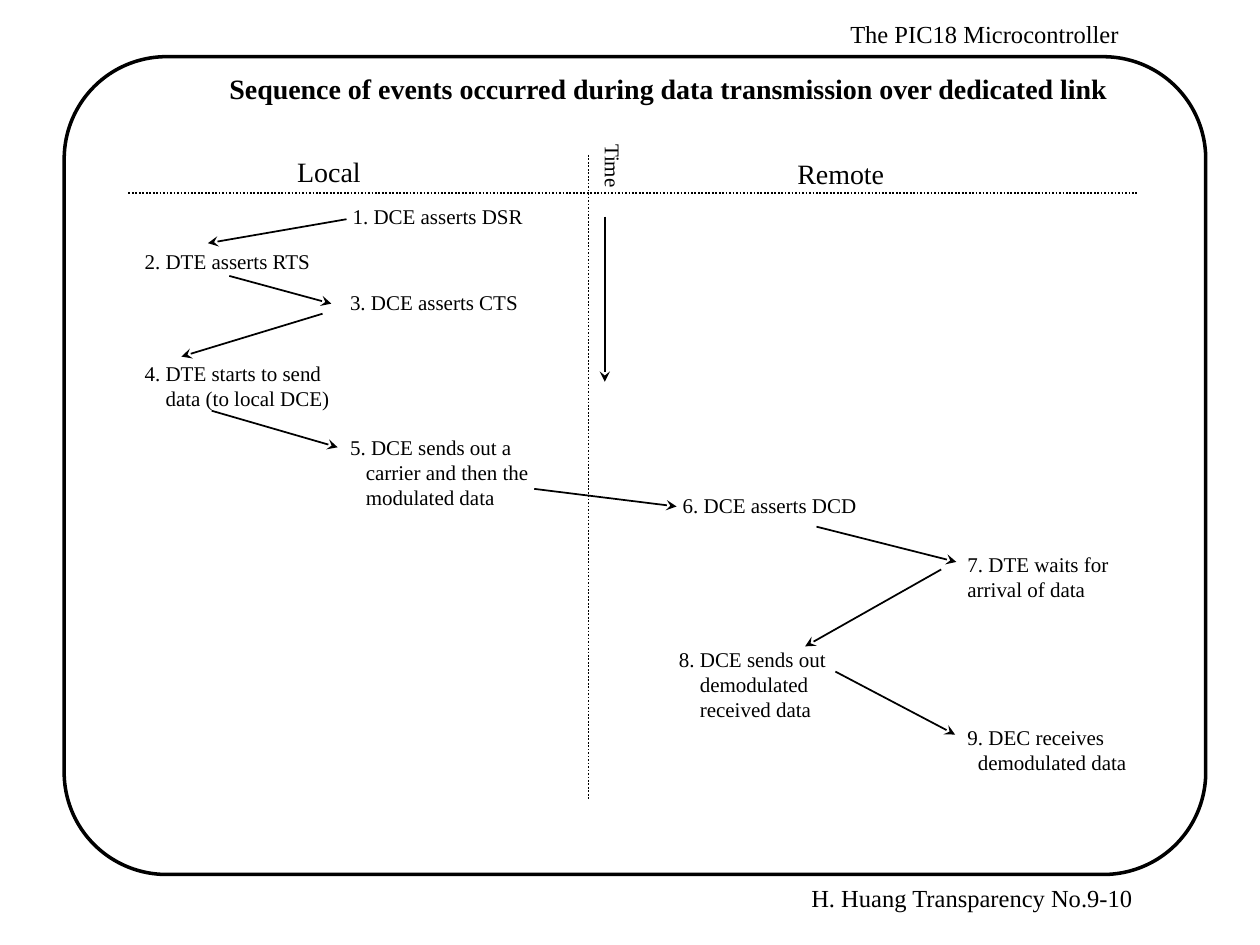
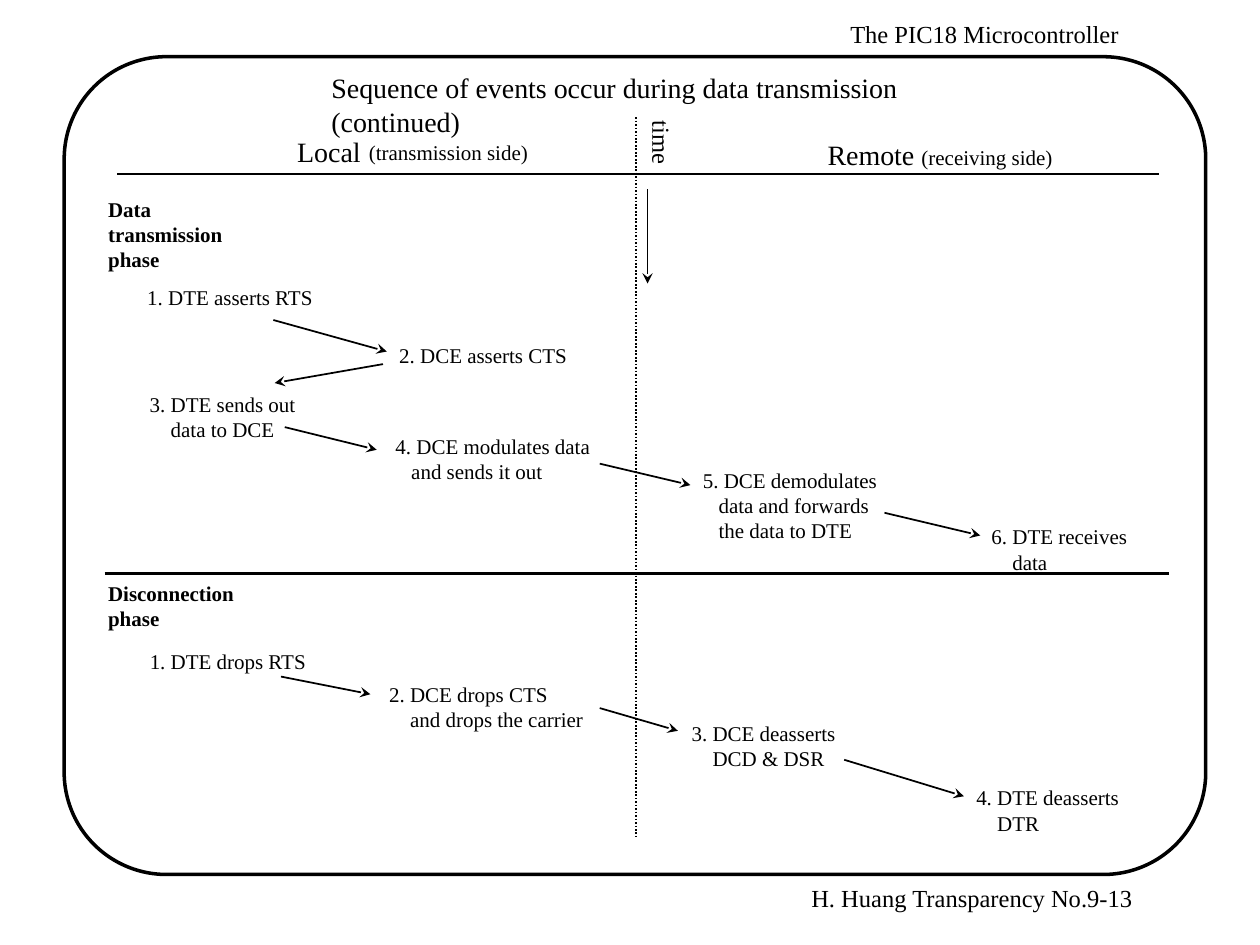
import pptx
import pptx.dml.color
import pptx.enum.dml
import pptx.enum.shapes
import pptx.enum.text
import pptx.oxml.ns
import pptx.util
from lxml import etree

Inches = pptx.util.Inches
Pt = pptx.util.Pt

FONT = "Times New Roman"
INK = "000000"
PAPER = "FFFFFF"
TITLE_SIZE, RUNNING_SIZE, STEP_SIZE = 16, 14, 12
LINE_HEIGHT = 0.2
TITLE_ONLY = 5


def color(hex_value):
    return pptx.dml.color.RGBColor.from_string(hex_value)


# Text
def add_run(paragraph, text, size, bold=False):
    run = paragraph.add_run()
    run.text = text
    run.font.name = FONT
    run.font.size = Pt(size)
    run.font.bold = bold
    run.font.color.rgb = color(INK)


def fit_frame(frame):
    frame.word_wrap = False
    frame.auto_size = pptx.enum.text.MSO_AUTO_SIZE.SHAPE_TO_FIT_TEXT
    frame.vertical_anchor = pptx.enum.text.MSO_ANCHOR.TOP


def add_label(slide, left, top, width, height, text, size):
    label = slide.shapes.add_textbox(
        Inches(left), Inches(top), Inches(width), Inches(height))
    fit_frame(label.text_frame)
    add_run(label.text_frame.paragraphs[0], text, size)
    return label


def add_step(slide, left, top, width, lines, indent=0, bold=False):
    """Lines after the first are indented by a number of space widths."""
    step = slide.shapes.add_textbox(
        Inches(left), Inches(top), Inches(width),
        Inches(0.1 + LINE_HEIGHT * len(lines)))
    frame = step.text_frame
    fit_frame(frame)
    for number, line in enumerate(lines):
        paragraph = frame.add_paragraph() if number else frame.paragraphs[0]
        if number and indent:
            properties = paragraph._p.get_or_add_pPr()
            properties.set("marL", str(Pt(indent * STEP_SIZE / 4)))
            properties.set("indent", "0")
        add_run(paragraph, line, STEP_SIZE, bold)


# Lines
def add_line(slide, start, end, width=1, dotted=False, arrow=False):
    line = slide.shapes.add_connector(
        pptx.enum.shapes.MSO_CONNECTOR.STRAIGHT,
        *(Inches(value) for value in (*start, *end)))
    line.line.color.rgb = color(INK)
    line.line.width = Pt(width)
    if dotted:
        line.line.dash_style = pptx.enum.dml.MSO_LINE.ROUND_DOT
    qn = pptx.oxml.ns.qn
    if arrow:
        outline = line.line._get_or_add_ln()
        etree.SubElement(outline, qn("a:tailEnd"), type="stealth")
    properties = line.element.find(qn("p:spPr"))
    etree.SubElement(properties, qn("a:effectLst"))


def add_arrows(slide, arrows):
    for start, end in arrows:
        add_line(slide, start, end, arrow=True)


# Shared page: frame, running header, footer and title
def add_page(deck, number, title, left, top, width, bold):
    slide = deck.slides.add_slide(deck.slide_layouts[TITLE_ONLY])
    heading = slide.shapes.title
    heading.left, heading.top = Inches(left), Inches(top)
    heading.width, heading.height = Inches(width), Inches(0.37)
    fit_frame(heading.text_frame)
    paragraph = heading.text_frame.paragraphs[0]
    paragraph.alignment = pptx.enum.text.PP_ALIGN.LEFT
    add_run(paragraph, title, TITLE_SIZE, bold)

    border = slide.shapes.add_shape(
        pptx.enum.shapes.MSO_SHAPE.ROUNDED_RECTANGLE,
        Inches(0.51), Inches(0.45), Inches(9.06), Inches(6.49))
    border.adjustments[0] = 0.125
    border.shadow.inherit = False
    border.fill.solid()
    border.fill.fore_color.rgb = color(PAPER)
    border.line.color.rgb = color(INK)
    border.line.width = Pt(2)
    heading.element.addprevious(border.element)  # keep the title in front

    add_label(slide, 6.34, 6.96, 3.38, 0.33,
              f"H. Huang Transparency No.{number}", RUNNING_SIZE)
    add_label(slide, 6.65, 0.1, 2.34, 0.33,
              "The PIC18 Microcontroller", RUNNING_SIZE)
    return slide


def add_time_axis(slide, left, top, height, text, size, start, end):
    label = add_label(slide, left, top, 0.55, height, text, size)
    label.rotation = 90
    add_line(slide, start, end, arrow=True)


def build_dedicated_link(deck):
    slide = add_page(
        deck, "9-10",
        "Sequence of events occurred during data transmission over dedicated link",
        1.72, 0.52, 7.18, True)

    # Local and remote columns
    add_label(slide, 2.26, 1.18, 0.71, 0.37, "Local", TITLE_SIZE)
    add_label(slide, 6.23, 1.19, 0.89, 0.37, "Remote", TITLE_SIZE)
    add_line(slide, (1.02, 1.53), (9.03, 1.53), dotted=True)
    add_line(slide, (4.67, 1.23), (4.67, 6.35), dotted=True)
    add_time_axis(slide, 4.59, 1.17, 0.3, "Time", STEP_SIZE,
                  (4.8, 1.72), (4.8, 3.03))

    # Events
    for event in (
        (2.7, 1.57, 1.55, ["1. DCE asserts DSR"]),
        (1.05, 1.92, 1.53, ["2. DTE asserts RTS"]),
        (2.68, 2.25, 1.54, ["3. DCE asserts CTS"]),
        (1.05, 2.81, 1.67, ["4. DTE starts to send", "data (to local DCE)"], 4),
        (2.68, 3.4, 1.62,
         ["5. DCE sends out a", "carrier and then the", "modulated data"], 3),
        (5.32, 3.86, 1.58, ["6. DCE asserts DCD"]),
        (7.58, 4.33, 1.36, ["7. DTE waits for", "arrival of data"]),
        (5.29, 5.08, 1.37,
         ["8. DCE sends out", "demodulated", "received data"], 4),
        (7.58, 5.7, 1.47, ["9. DEC receives", "demodulated data"], 2),
    ):
        add_step(slide, *event)
    add_arrows(slide, (
        ((2.75, 1.74), (1.65, 1.93)),
        ((1.82, 2.19), (2.63, 2.41)),
        ((2.56, 2.49), (1.44, 2.83)),
        ((1.68, 3.26), (2.68, 3.55)),
        ((4.24, 3.88), (5.37, 4.02)),
        ((6.48, 4.18), (7.59, 4.46)),
        ((7.47, 4.52), (6.39, 5.13)),
        ((6.63, 5.33), (7.58, 5.83)),
    ))


def build_continued(deck):
    slide = add_page(
        deck, "9-13",
        "Sequence of events occur during data transmission (continued)",
        2.53, 0.51, 5.77, False)

    # Local and remote columns
    add_label(slide, 2.26, 1.02, 0.71, 0.37, "Local", TITLE_SIZE)
    add_label(slide, 2.83, 1.06, 1.47, 0.3, "(transmission side)", STEP_SIZE)
    remote = add_label(slide, 6.47, 1.04, 1.99, 0.37, "Remote ", TITLE_SIZE)
    add_run(remote.text_frame.paragraphs[0], "(receiving side)", STEP_SIZE)
    add_line(slide, (0.93, 1.38), (9.2, 1.38), width=1.5)
    add_line(slide, (5.05, 0.93), (5.05, 6.64), dotted=True)
    add_time_axis(slide, 4.98, 0.97, 0.33, "time", RUNNING_SIZE,
                  (5.14, 1.5), (5.14, 2.25))

    # Data transmission phase
    add_step(slide, 0.76, 1.51, 1.11, ["Data", "transmission", "phase"], bold=True)
    for event in (
        (1.07, 2.21, 1.53, ["1. DTE asserts RTS"]),
        (3.07, 2.67, 1.54, ["2. DCE asserts CTS"]),
        (1.09, 3.06, 1.36, ["3. DTE sends out", "data to DCE"], 4),
        (3.04, 3.39, 1.75, ["4. DCE modulates data", "and sends it out"], 3),
        (5.48, 3.66, 1.63,
         ["5. DCE demodulates", "data and forwards", "the data to DTE"], 3),
        (7.77, 4.11, 1.32, ["6. DTE receives", "data"], 4),
    ):
        add_step(slide, *event)
    add_arrows(slide, (
        ((2.17, 2.54), (3.07, 2.79)),
        ((3.04, 2.89), (2.18, 3.04)),
        ((2.26, 3.39), (2.99, 3.57)),
        ((4.76, 3.68), (5.48, 3.85)),
        ((7.02, 4.07), (7.78, 4.25)),
    ))

    # Disconnection phase
    add_line(slide, (0.83, 4.55), (9.28, 4.55), width=1.5)
    add_step(slide, 0.76, 4.56, 1.2, ["Disconnection", "phase"], bold=True)
    for event in (
        (1.09, 5.1, 1.45, ["1. DTE drops RTS"]),
        (2.99, 5.36, 1.74, ["2. DCE drops CTS", "and drops the carrier"], 4),
        (5.39, 5.67, 1.35, ["3. DCE deasserts", "DCD & DSR"], 4),
        (7.65, 6.18, 1.34, ["4. DTE deasserts", "DTR"], 4),
    ):
        add_step(slide, *event)
    add_arrows(slide, (
        ((2.23, 5.37), (2.94, 5.51)),
        ((4.76, 5.62), (5.38, 5.8)),
        ((6.7, 6.03), (7.65, 6.32)),
    ))


def main():
    deck = pptx.Presentation()
    deck.slide_width, deck.slide_height = Inches(10), Inches(7.5)
    build_dedicated_link(deck)
    build_continued(deck)
    deck.save("out.pptx")


if __name__ == "__main__":
    main()
